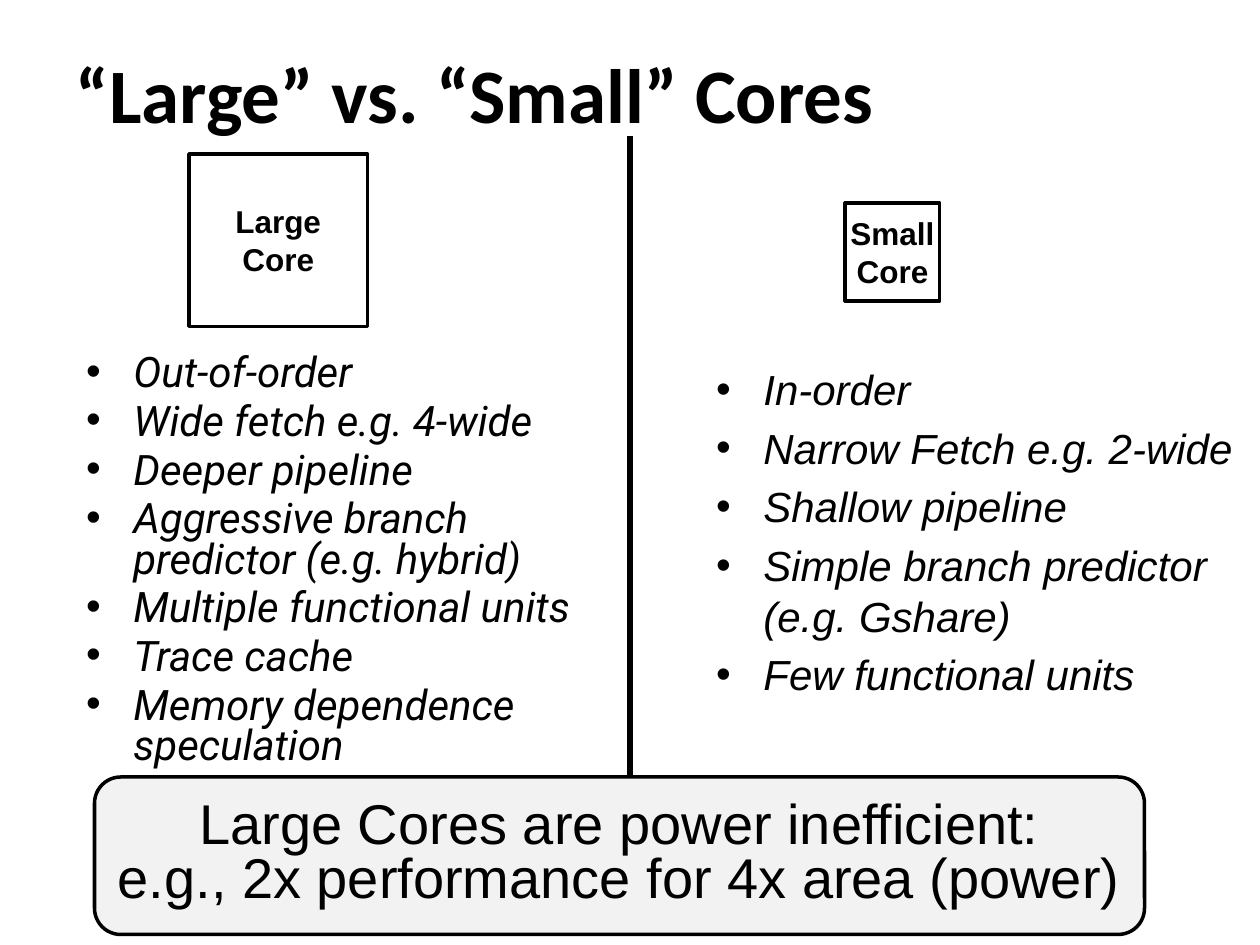
from dataclasses import dataclass

from lxml import etree
from pptx import Presentation
from pptx.dml.color import RGBColor
from pptx.enum.shapes import MSO_CONNECTOR, MSO_SHAPE
from pptx.enum.text import MSO_ANCHOR, MSO_AUTO_SIZE, PP_ALIGN
from pptx.oxml.ns import qn
from pptx.util import Pt

RECT = MSO_SHAPE.RECTANGLE
ROUNDED = MSO_SHAPE.FLOWCHART_ALTERNATE_PROCESS
STRAIGHT = MSO_CONNECTOR.STRAIGHT
LEFT, CENTER = PP_ALIGN.LEFT, PP_ALIGN.CENTER
TOP, MIDDLE = MSO_ANCHOR.TOP, MSO_ANCHOR.MIDDLE
NO_FIT = MSO_AUTO_SIZE.NONE

COLORS = {"ink": "000000", "callout": "F2F2F2"}
INDENT = 27


@dataclass
class Area:
    x: float
    y: float
    w: float
    h: float


@dataclass
class Box:
    area: Area
    text: str
    size: float
    kind: int = RECT
    bold: bool = False
    fill: str | None = None
    spacing: float = 1.0


@dataclass
class FeatureList:
    index: int
    area: Area
    font: str
    spacing: float
    items: list[str]


def color(name: str) -> RGBColor:
    return RGBColor.from_string(COLORS[name])


def place(sp, area: Area) -> None:
    sp.left, sp.top = Pt(area.x), Pt(area.y)
    sp.width, sp.height = Pt(area.w), Pt(area.h)


def add_bullet(p) -> None:
    pPr = p._p.get_or_add_pPr()
    pPr.set("marL", str(Pt(INDENT)))
    pPr.set("indent", str(-Pt(INDENT)))
    etree.SubElement(pPr, qn("a:buFont")).set("typeface", "Arial")
    etree.SubElement(pPr, qn("a:buChar")).set("char", "•")


def write(sp, lines: list[str], *, size: float, font: str = "Arial",
          bold: bool = False, italic: bool = False, align=LEFT, anchor=TOP,
          wrap: bool = True, spacing: float = 1.0, bullets: bool = False) -> None:
    tf = sp.text_frame
    tf.auto_size, tf.word_wrap, tf.vertical_anchor = NO_FIT, wrap, anchor
    for i, line in enumerate(lines):
        p = tf.paragraphs[0] if i == 0 else tf.add_paragraph()
        p.text = line
        p.alignment, p.line_spacing = align, spacing
        p.space_before = Pt(0.2 * size if i else 0)
        if bullets:
            add_bullet(p)
        for r in p.runs:
            r.font.name, r.font.size = font, Pt(size)
            r.font.bold, r.font.italic = bold, italic
            r.font.color.rgb = color("ink")


def draw_box(s, box: Box) -> None:
    a = box.area
    sp = s.shapes.add_shape(box.kind, Pt(a.x), Pt(a.y), Pt(a.w), Pt(a.h))
    sp.shadow.inherit = False
    if box.fill:
        sp.fill.solid()
        sp.fill.fore_color.rgb = color(box.fill)
    else:
        sp.fill.background()
    sp.line.color.rgb, sp.line.width = color("ink"), Pt(2)
    write(sp, [box.text], size=box.size, bold=box.bold, align=CENTER,
          anchor=MIDDLE, wrap=False, spacing=box.spacing)


def draw_list(s, features: FeatureList) -> None:
    sp = s.placeholders[features.index]
    place(sp, features.area)
    write(sp, features.items, size=24, font=features.font, italic=True,
          spacing=features.spacing, bullets=True)


def draw_divider(s, x: float, top: float, bottom: float) -> None:
    line = s.shapes.add_connector(STRAIGHT, Pt(x), Pt(top), Pt(x), Pt(bottom))
    line.line.color.rgb, line.line.width = color("ink"), Pt(3)
    etree.SubElement(line._element.spPr, qn("a:effectLst"))


LISTS = [
    FeatureList(1, Area(42, 199.5, 300, 277), "Roboto", 0.8, [
        "Out-of-order",
        "Wide fetch e.g. 4-wide",
        "Deeper pipeline",
        "Aggressive branch predictor (e.g. hybrid)",
        "Multiple functional units",
        "Trace cache",
        "Memory dependence speculation",
    ]),
    FeatureList(2, Area(402, 204, 324, 216), "Arial", 1.0, [
        "In-order",
        "Narrow Fetch e.g. 2-wide",
        "Shallow pipeline",
        "Simple branch predictor (e.g. Gshare)",
        "Few functional units",
    ]),
]
BOXES = [
    Box(Area(108, 88, 102, 98.5), "Large\vCore", 18, bold=True),
    Box(Area(483, 116, 54, 56), "Small\vCore", 18, bold=True),
    Box(Area(54, 444, 600, 90),
        "Large Cores are power inefficient:\v"
        "e.g., 2x performance for 4x area (power)",
        32, kind=ROUNDED, fill="callout", spacing=0.8),
]


def main() -> None:
    prs = Presentation()
    prs.slide_width, prs.slide_height = Pt(720), Pt(540)
    s = prs.slides.add_slide(prs.slide_layouts[3])

    # Title
    title = s.shapes.title
    place(title, Area(36, 8, 648, 90))
    write(title, ["“Large” vs. “Small” Cores"], size=44, font="Calibri",
          bold=True, anchor=MIDDLE)

    # Features of each core
    for features in LISTS:
        draw_list(s, features)

    # Divider, cores and conclusion
    draw_divider(s, 360, 78, 464)
    for box in BOXES:
        draw_box(s, box)

    prs.save("out.pptx")


if __name__ == "__main__":
    main()
